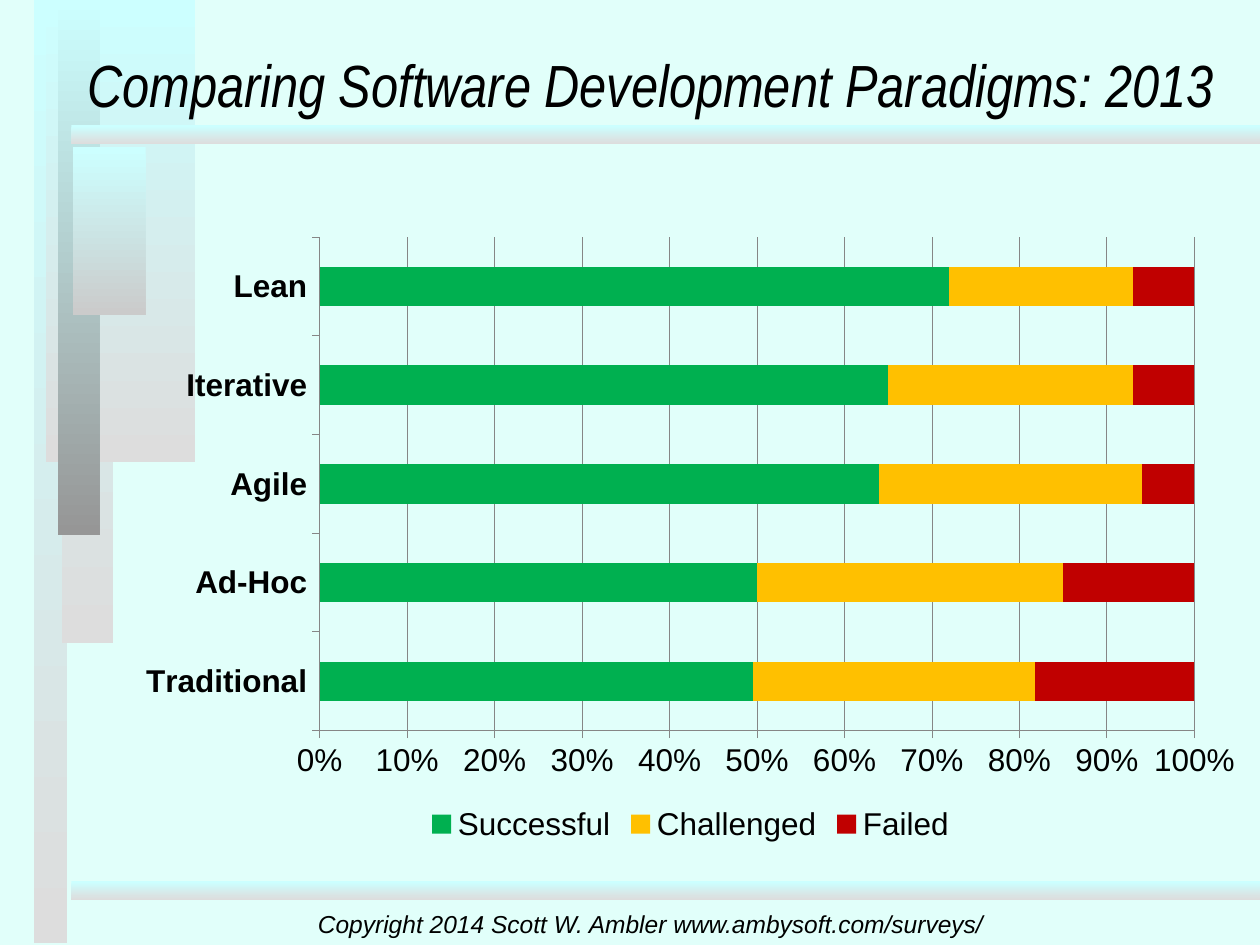
from dataclasses import dataclass

from pptx import Presentation
from pptx import util as u
from pptx.chart.data import CategoryChartData
from pptx.dml.color import RGBColor
from pptx.enum import chart as charts, shapes, text


@dataclass(frozen=True)
class Theme:
    background: str = "E1FFFA"
    ink: str = "000000"
    aqua: str = "CCFFFF"
    mist: str = "DDDDDD"
    silver: str = "CBCBCB"
    slate: str = "969696"
    grid: str = "868686"
    body_font: str = "Arial"
    title_font: str = "Arial Narrow"
    title_size: int = 34
    chart_size: int = 18
    footer_size: int = 14
    grid_width: float = 0.5


THEME = Theme()
RULE_TOPS = (2.53, 17.77)
PANELS = (
    ((0.69, 0, 0.66, 19.02), THEME.mist),
    ((1.25, 0, 1.03, 12.96), THEME.mist),
    ((0.92, 0, 3.01, 9.32), THEME.mist),
    ((1.17, 0, 0.84, 10.79), THEME.slate),
    ((1.47, 2.97, 1.47, 3.38), THEME.silver),
    *(((1.44, top, 23.96, 0.37), THEME.mist) for top in RULE_TOPS),
)
PARADIGMS = ("Traditional", "Ad-Hoc", "Agile", "Iterative", "Lean")
OUTCOMES = (
    ("Successful", (49, 50, 64, 65, 72), "00B050"),
    ("Challenged", (32, 35, 30, 28, 21), "FFC000"),
    ("Failed", (18, 15, 6, 7, 7), "C00000"),
)


def rgb(value):
    return RGBColor.from_string(value)


def apply(target, values):
    for key, value in values.items():
        setattr(target, key, value)


def place(box):
    return [u.Cm(length) for length in box]


def style_font(font, size, name=THEME.body_font, **values):
    apply(font, {"size": u.Pt(size), "name": name, **values})
    font.color.rgb = rgb(THEME.ink)


def style_line(line):
    line.color.rgb = rgb(THEME.grid)
    line.width = u.Pt(THEME.grid_width)


def add_panel(slide, box, end_color):
    panel = slide.shapes.add_shape(shapes.MSO_SHAPE.RECTANGLE, *place(box))
    panel.shadow.inherit = False
    panel.line.fill.background()
    panel.fill.gradient()
    panel.fill.gradient_angle = 270
    for stop, color, position in zip(
        panel.fill.gradient_stops, (THEME.aqua, end_color), (0, 1)
    ):
        stop.color.rgb = rgb(color)
        stop.position = position


def add_caption(slide, box, wording, anchor, align, **font_format):
    frame = slide.shapes.add_textbox(*place(box)).text_frame
    apply(frame, {"word_wrap": True, "vertical_anchor": anchor})
    paragraph = frame.paragraphs[0]
    paragraph.alignment = align
    run = paragraph.add_run()
    run.text = wording
    style_font(run.font, italic=True, **font_format)


def style_axis(axis, bold):
    apply(axis, {
        "major_tick_mark": charts.XL_TICK_MARK.OUTSIDE,
        "minor_tick_mark": charts.XL_TICK_MARK.NONE,
    })
    style_font(axis.tick_labels.font, THEME.chart_size, bold=bold)
    style_line(axis.format.line)


def add_outcome_chart(slide, box):
    data = CategoryChartData()
    data.categories = PARADIGMS
    for outcome, shares, _ in OUTCOMES:
        data.add_series(outcome, shares)
    chart = slide.shapes.add_chart(
        charts.XL_CHART_TYPE.BAR_STACKED_100, *place(box), data
    ).chart
    style_font(chart.font, THEME.chart_size)
    apply(chart, {"has_title": False, "has_legend": True})
    apply(chart.legend, {
        "position": charts.XL_LEGEND_POSITION.BOTTOM,
        "include_in_layout": False,
    })
    style_font(chart.legend.font, THEME.chart_size)
    bars = chart.plots[0]
    apply(bars, {"gap_width": 150, "overlap": 100, "vary_by_categories": False})
    for series, (_, _, color) in zip(bars.series, OUTCOMES):
        series.format.fill.solid()
        series.format.fill.fore_color.rgb = rgb(color)
    style_axis(chart.category_axis, bold=True)
    share_axis = chart.value_axis
    style_axis(share_axis, bold=False)
    share_axis.has_major_gridlines = True
    style_line(share_axis.major_gridlines.format.line)
    apply(share_axis.tick_labels, {
        "number_format": "0%",
        "number_format_is_linked": False,
    })


def main():
    deck = Presentation()
    apply(deck, {"slide_width": u.Cm(25.4), "slide_height": u.Cm(19.05)})
    slide = deck.slides.add_slide(deck.slide_layouts[6])
    slide.background.fill.solid()
    slide.background.fill.fore_color.rgb = rgb(THEME.background)
    for box, end_color in PANELS:
        add_panel(slide, box, end_color)
    add_caption(
        slide, (1.51, 0, 23.89, 2.54),
        "Comparing Software Development Paradigms: 2013",
        text.MSO_ANCHOR.BOTTOM, text.PP_ALIGN.LEFT,
        size=THEME.title_size, name=THEME.title_font,
    )
    add_outcome_chart(slide, (2.49, 4.53, 22.86, 12.57))
    add_caption(
        slide, (5.92, 18.21, 14.4, 0.84),
        "Copyright 2014 Scott W. Ambler www.ambysoft.com/surveys/",
        text.MSO_ANCHOR.MIDDLE, text.PP_ALIGN.CENTER,
        size=THEME.footer_size,
    )
    deck.save("out.pptx")


if __name__ == "__main__":
    main()
